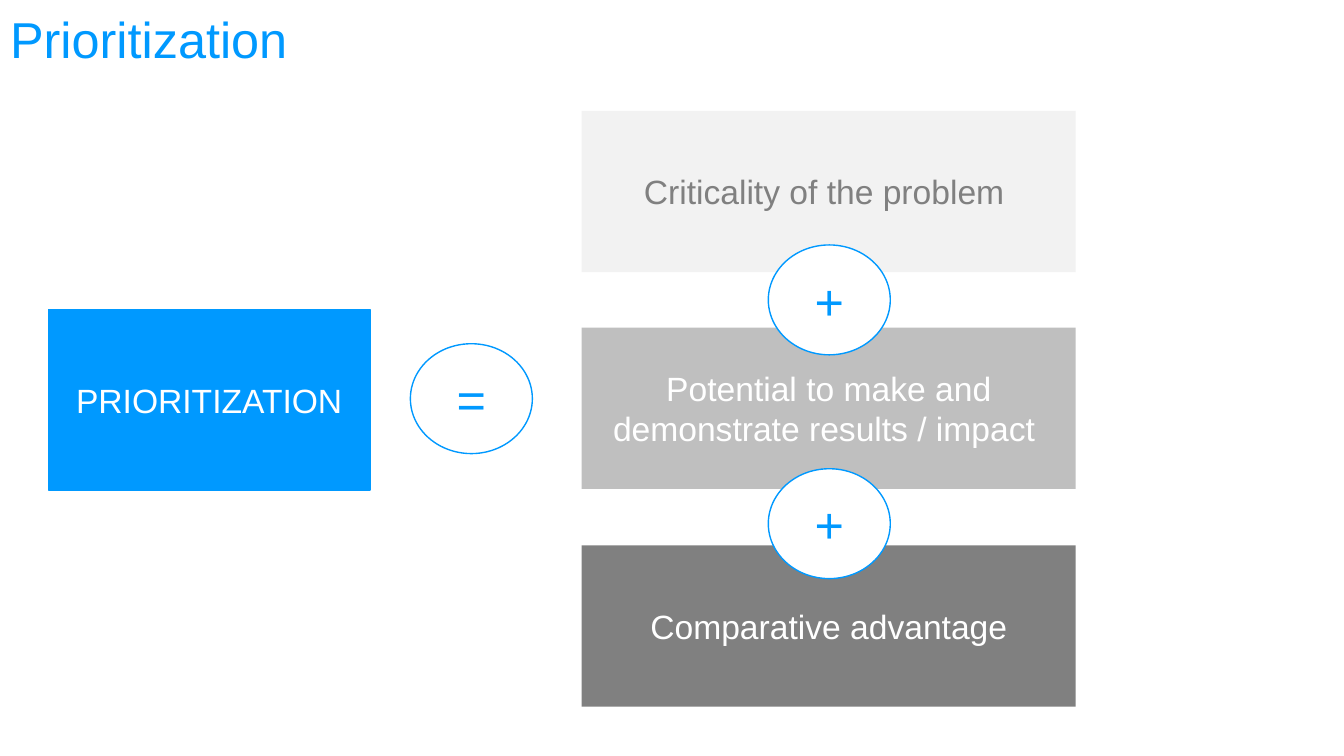
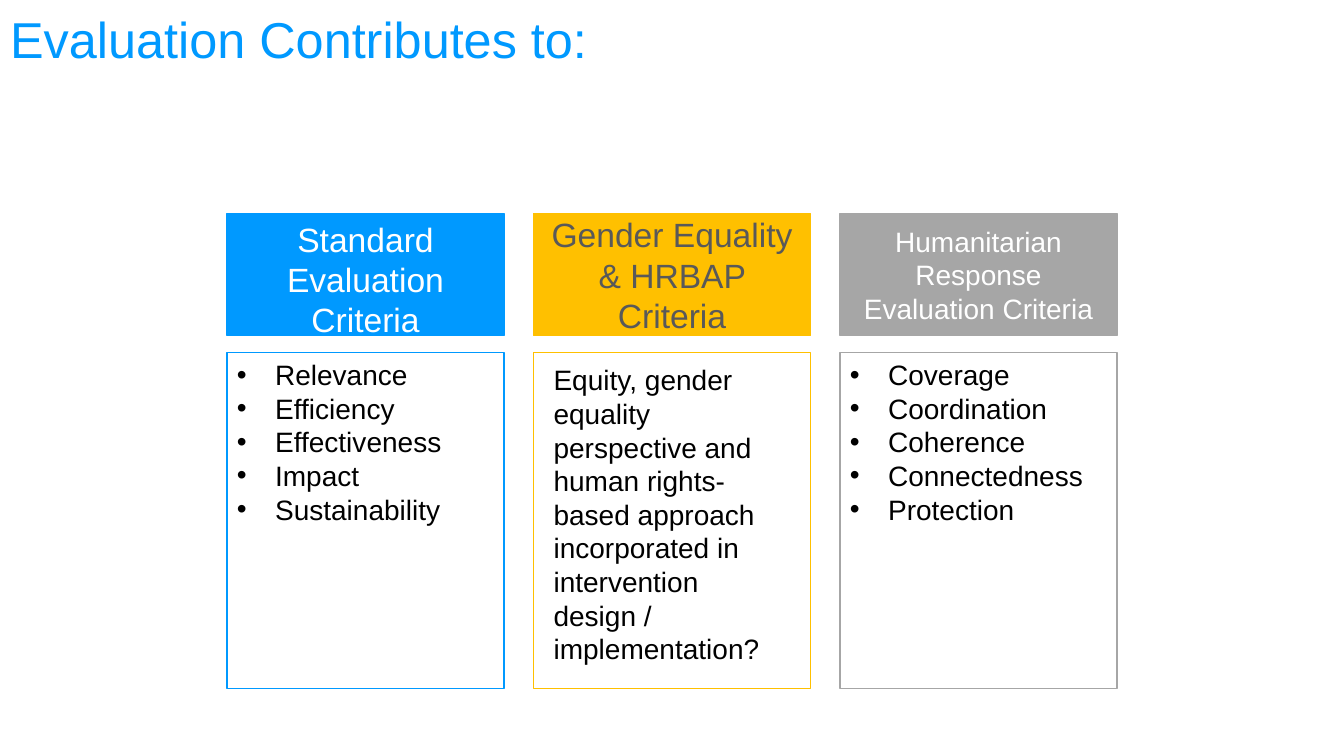
from dataclasses import dataclass

import pptx
import pptx.dml.color
import pptx.enum.shapes
import pptx.enum.text
import pptx.oxml.ns
import pptx.util
from lxml import etree

MSO = pptx.enum.shapes.MSO_SHAPE
ANCHOR = pptx.enum.text.MSO_ANCHOR
ALIGN = pptx.enum.text.PP_ALIGN

EMU_PER_PX = 9144
SLIDE_W, SLIDE_H = 1333, 750
FONT = "Arial"
COLORS = {
    "blue": "0099FF",
    "amber": "FFC000",
    "white": "FFFFFF",
    "black": "000000",
    "charcoal": "595959",
    "dark": "808080",
    "mid": "A6A6A6",
    "silver": "BFBFBF",
    "pale": "F2F2F2",
}
INSETS = (10, 5, 10, 5)
BULLET_INDENT = 38


@dataclass
class Box:
    x: int
    y: int
    w: int
    h: int
    lines: tuple[str, ...]
    fill: str
    color: str
    line: str = ""
    size: int = 24
    shape: MSO = MSO.RECTANGLE
    anchor: ANCHOR = ANCHOR.MIDDLE
    align: ALIGN = ALIGN.CENTER
    insets: tuple[int, int, int, int] = INSETS
    bullets: bool = False


@dataclass
class Column:
    heading: str
    lines: tuple[str, ...]
    fill: str
    color: str = "white"
    size: int = 24
    anchor: ANCHOR = ANCHOR.MIDDLE
    insets: tuple[int, int, int, int] = INSETS
    bullets: bool = True


def px(n: int) -> pptx.util.Emu:
    return pptx.util.Emu(n * EMU_PER_PX)


def rgb(name: str) -> pptx.dml.color.RGBColor:
    return pptx.dml.color.RGBColor.from_string(COLORS[name])


def set_attrs(obj, values: dict) -> None:
    for name, value in values.items():
        setattr(obj, name, value)


def format_frame(tf, anchor: ANCHOR, insets: tuple[int, ...]) -> None:
    left, top, right, bottom = map(px, insets)
    set_attrs(tf, {
        "word_wrap": True,
        "auto_size": pptx.enum.text.MSO_AUTO_SIZE.NONE,
        "vertical_anchor": anchor,
        "margin_left": left,
        "margin_top": top,
        "margin_right": right,
        "margin_bottom": bottom,
    })


def format_font(font, size: int, color: str) -> None:
    set_attrs(font, {"name": FONT, "size": pptx.util.Pt(size)})
    font.color.rgb = rgb(color)


def add_bullet(p) -> None:
    pPr = p._p.get_or_add_pPr()
    pPr.set("marL", str(px(BULLET_INDENT)))
    pPr.set("indent", str(-px(BULLET_INDENT)))
    for tag, attr, value in (("a:buFont", "typeface", FONT), ("a:buChar", "char", "•")):
        etree.SubElement(pPr, pptx.oxml.ns.qn(tag)).set(attr, value)


def add_box(s, box: Box) -> None:
    sp = s.shapes.add_shape(box.shape, px(box.x), px(box.y), px(box.w), px(box.h))
    sp.shadow.inherit = False
    sp.fill.solid()
    sp.fill.fore_color.rgb = rgb(box.fill)
    if box.line:
        sp.line.color.rgb = rgb(box.line)
        sp.line.width = pptx.util.Pt(1)
    else:
        sp.line.fill.background()
    tf = sp.text_frame
    format_frame(tf, box.anchor, box.insets)
    for i, text in enumerate(box.lines):
        p = tf.add_paragraph() if i else tf.paragraphs[0]
        p.alignment = box.align
        if box.bullets:
            add_bullet(p)
        r = p.add_run()
        r.text = text
        format_font(r.font, box.size, box.color)


def add_slide(prs, title: str):
    s = prs.slides.add_slide(prs.slide_layouts[5])
    sp = s.shapes.title
    set_attrs(sp, {"left": px(0), "top": px(0), "width": px(SLIDE_W), "height": px(84)})
    format_frame(sp.text_frame, ANCHOR.MIDDLE, INSETS)
    p = sp.text_frame.paragraphs[0]
    set_attrs(p, {"alignment": ALIGN.LEFT, "line_spacing": 0.9})
    r = p.add_run()
    r.text = title
    format_font(r.font, 36, "blue")
    return s


def add_operator(s, x: int, y: int, sign: str) -> None:
    add_box(s, Box(x, y, 121, 109, (sign,), "white", "blue", "blue", 36, MSO.OVAL))


def build_prioritization(prs) -> None:
    s = add_slide(prs, "Prioritization")
    factors = (
        ("Criticality of the problem ", "pale", "dark"),
        ("Potential to make and demonstrate results / impact ", "silver", "white"),
        ("Comparative advantage", "dark", "white"),
    )
    add_box(s, Box(48, 307, 319, 179, ("PRIORITIZATION",), "blue", "white", "blue"))
    for i, (text, fill, color) in enumerate(factors):
        add_box(s, Box(577, 110 + i * 431 // 2, 490, 160, (text,), fill, color))
    add_operator(s, 407, 341, "=")
    for i in range(len(factors) - 1):
        add_operator(s, 762, 243 + i * 222, "+")


def build_evaluation(prs) -> None:
    s = add_slide(prs, "Evaluation Contributes to:")
    columns = (
        Column(
            "Standard Evaluation Criteria",
            ("Relevance", "Efficiency", "Effectiveness", "Impact", "Sustainability"),
            "blue", anchor=ANCHOR.TOP,
        ),
        Column(
            "Gender Equality & HRBAP Criteria",
            ("Equity, gender equality perspective and human rights-based approach "
             "incorporated in intervention design / implementation?",),
            "amber", "charcoal", insets=(20, 10, 10, 5), bullets=False,
        ),
        Column(
            "Humanitarian Response Evaluation Criteria",
            ("Coverage", "Coordination", "Coherence", "Connectedness", "Protection"),
            "mid", size=20,
        ),
    )
    for i, c in enumerate(columns):
        x = 225 + i * 304
        add_box(s, Box(x, 212, 275, 121, (c.heading,), c.fill, c.color, c.fill,
                       c.size, anchor=c.anchor))
        add_box(s, Box(x, 350, 275, 333, c.lines, "white", "black", c.fill, 20,
                       anchor=ANCHOR.TOP, align=ALIGN.LEFT, insets=c.insets,
                       bullets=c.bullets))


def main() -> None:
    prs = pptx.Presentation()
    set_attrs(prs, {"slide_width": px(SLIDE_W), "slide_height": px(SLIDE_H)})
    build_prioritization(prs)
    build_evaluation(prs)
    prs.save("out.pptx")


if __name__ == "__main__":
    main()
